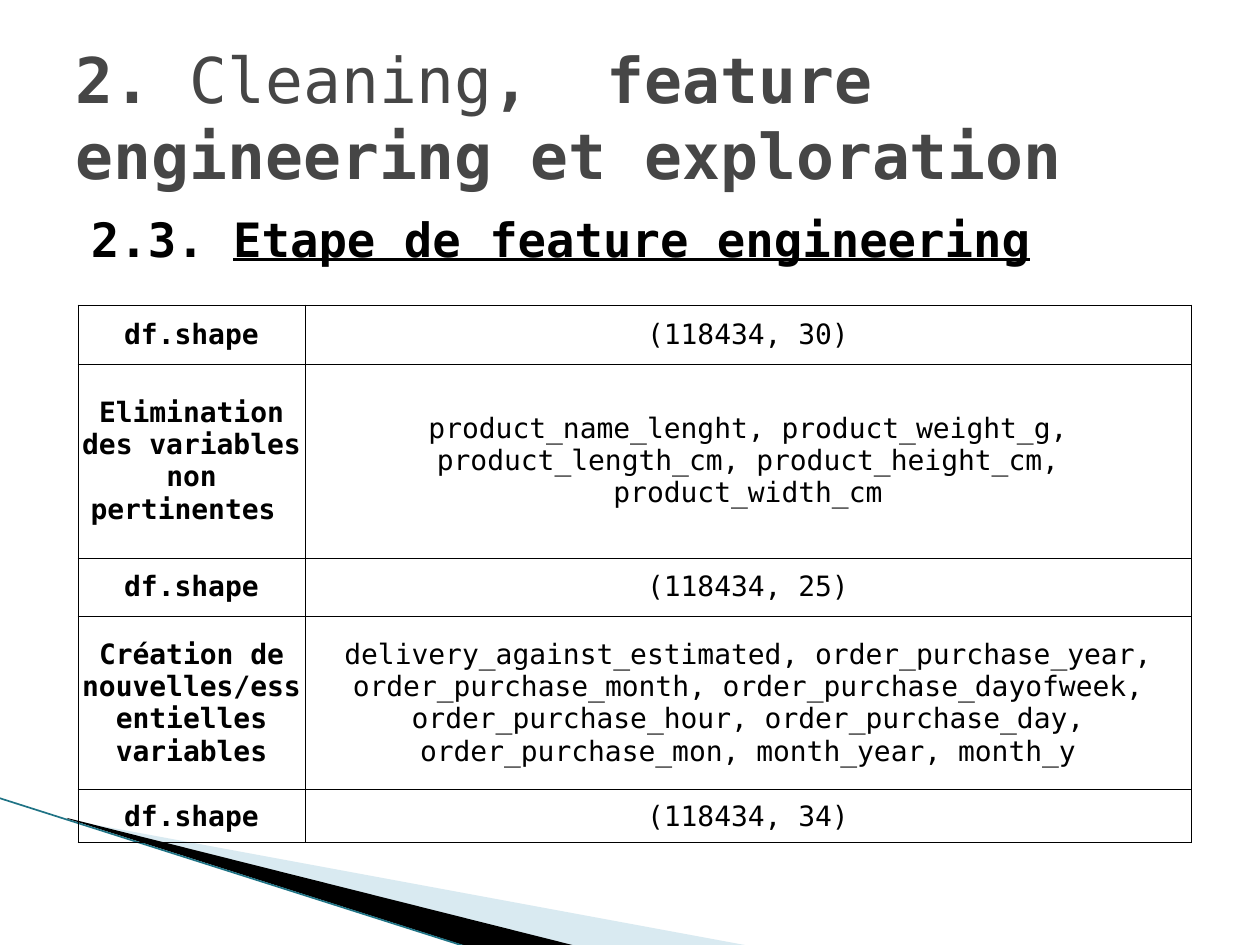
from dataclasses import dataclass

from lxml.etree import SubElement
from pptx import Presentation
from pptx.dml.color import RGBColor
from pptx.enum.shapes import MSO_CONNECTOR
from pptx.enum.text import MSO_ANCHOR, PP_ALIGN
from pptx.oxml.ns import qn
from pptx.util import Pt

PX = 914400 / 126


@dataclass(frozen=True)
class Theme:
    font: str = "DejaVu Sans Mono"
    title_color: str = "464646"
    ink: str = "000000"
    pale: str = "A0CBDC"
    teal: str = "1F7385"
    title_size: int = 36
    heading_size: int = 27
    table_size: int = 16
    wedge_opacity: int = 40
    edge_width: float = 0.95
    border_width: float = 0.5


THEME = Theme()

ROWS = [
    (59, "df.shape", "(118434, 30)"),
    (194, "Elimination des variables non pertinentes ",
     "product_name_lenght, product_weight_g, product_length_cm, "
     "product_height_cm, product_width_cm"),
    (58, "df.shape", "(118434, 25)"),
    (174, "Création de nouvelles/essentielles variables",
     "delivery_against_estimated, order_purchase_year, order_purchase_month, "
     "order_purchase_dayofweek, order_purchase_hour, order_purchase_day, "
     "order_purchase_mon, month_year, month_y"),
    (53, "df.shape", "(118434, 34)"),
]


def px(*lengths):
    return [round(length * PX) for length in lengths]


def set_frame(shape, frame):
    left, top, width, height = px(*frame)
    outline = next(shape._element.iter(qn("a:path")))
    for point in outline.iter(qn("a:pt")):
        point.set("x", str(int(point.get("x")) + shape.left - left))
        point.set("y", str(int(point.get("y")) + shape.top - top))
    outline.set("w", str(width))
    outline.set("h", str(height))
    shape.left, shape.top, shape.width, shape.height = left, top, width, height


def add_wedge(slide, frame, points, color, opacity=100):
    corners = [px(*point) for point in points]
    builder = slide.shapes.build_freeform(*corners[0])
    builder.add_line_segments(corners[1:], close=True)
    shape = builder.convert_to_shape()
    set_frame(shape, frame)
    shape.shadow.inherit = False
    shape.fill.solid()
    shape.fill.fore_color.rgb = RGBColor.from_string(color)
    shape.line.fill.background()
    if opacity < 100:
        color_element = shape.fill._xPr.find(qn("a:solidFill"))[0]
        SubElement(color_element, qn("a:alpha"), val=str(opacity * 1000))


def add_edge(slide, start, end):
    line = slide.shapes.add_connector(MSO_CONNECTOR.STRAIGHT, *px(*start, *end))
    line.line.color.rgb = RGBColor.from_string(THEME.teal)
    line.line.width = Pt(THEME.edge_width)
    SubElement(line._element.spPr, qn("a:effectLst"))


def style_font(font, size, color, bold):
    font.name = THEME.font
    font.size = Pt(size)
    font.color.rgb = RGBColor.from_string(color)
    font.bold = bold


def set_title(slide):
    title = slide.shapes.title
    title.left, title.top, title.width, title.height = px(63, 38, 1134, 157)
    frame = title.text_frame
    frame.vertical_anchor = MSO_ANCHOR.MIDDLE
    paragraph = frame.paragraphs[0]
    paragraph.alignment = PP_ALIGN.LEFT
    style_font(paragraph.font, THEME.title_size, THEME.title_color, True)
    for text, bold in (("2. ", True), ("Cleaning", False),
                       (",  feature engineering et exploration", True)):
        run = paragraph.add_run()
        run.text = text
        run.font.bold = bold


def add_heading(slide):
    box = slide.shapes.add_textbox(*px(63, 204, 1134, 624))
    frame = box.text_frame
    frame.word_wrap = True
    frame.margin_left = px(28)[0]
    paragraph = frame.paragraphs[0]
    paragraph.space_before = Pt(4)
    style_font(paragraph.font, THEME.heading_size, THEME.ink, True)
    paragraph.add_run().text = "2.3. "
    topic = paragraph.add_run()
    topic.text = "Etape de feature engineering"
    topic.font.underline = True


def add_borders(cell):
    properties = cell._tc.get_or_add_tcPr()
    for side in ("lnL", "lnR", "lnT", "lnB"):
        border = SubElement(properties, qn(f"a:{side}"),
                            w=str(Pt(THEME.border_width)))
        fill = SubElement(border, qn("a:solidFill"))
        SubElement(fill, qn("a:srgbClr"), val=THEME.ink)


def fill_cell(cell, text, bold):
    add_borders(cell)
    cell.fill.background()
    cell.margin_left = cell.margin_right = 0
    cell.margin_top = cell.margin_bottom = 0
    cell.vertical_anchor = MSO_ANCHOR.MIDDLE
    cell.text = text
    paragraph = cell.text_frame.paragraphs[0]
    paragraph.alignment = PP_ALIGN.CENTER
    style_font(paragraph.font, THEME.table_size, THEME.ink, bold)


def add_feature_table(slide):
    widths = (227, 886)
    height = sum(row[0] for row in ROWS)
    frame = slide.shapes.add_table(len(ROWS), len(widths),
                                   *px(78, 305, sum(widths), height))
    table = frame.table
    table.first_row = table.horz_banding = False
    for column, width in zip(table.columns, widths):
        column.width = px(width)[0]
    for row, (row_height, label, value) in zip(table.rows, ROWS):
        row.height = px(row_height)[0]
        fill_cell(row.cells[0], label, True)
        fill_cell(row.cells[1], value, False)


def main():
    presentation = Presentation()
    presentation.slide_width, presentation.slide_height = px(1260, 945)
    slide = presentation.slides.add_slide(presentation.slide_layouts[5])
    add_wedge(slide, (98, 689, 524, 199),
              [(69, 820), (750, 946), (575, 946), (69, 819)],
              THEME.pale, THEME.wedge_opacity)
    add_wedge(slide, (-8, 798, 524, 116),
              [(67, 818), (576, 946), (469, 947), (68, 819)], THEME.ink)
    add_edge(slide, (-1, 798), (467, 947))
    set_title(slide)
    add_heading(slide)
    add_feature_table(slide)
    presentation.save("out.pptx")


if __name__ == "__main__":
    main()
